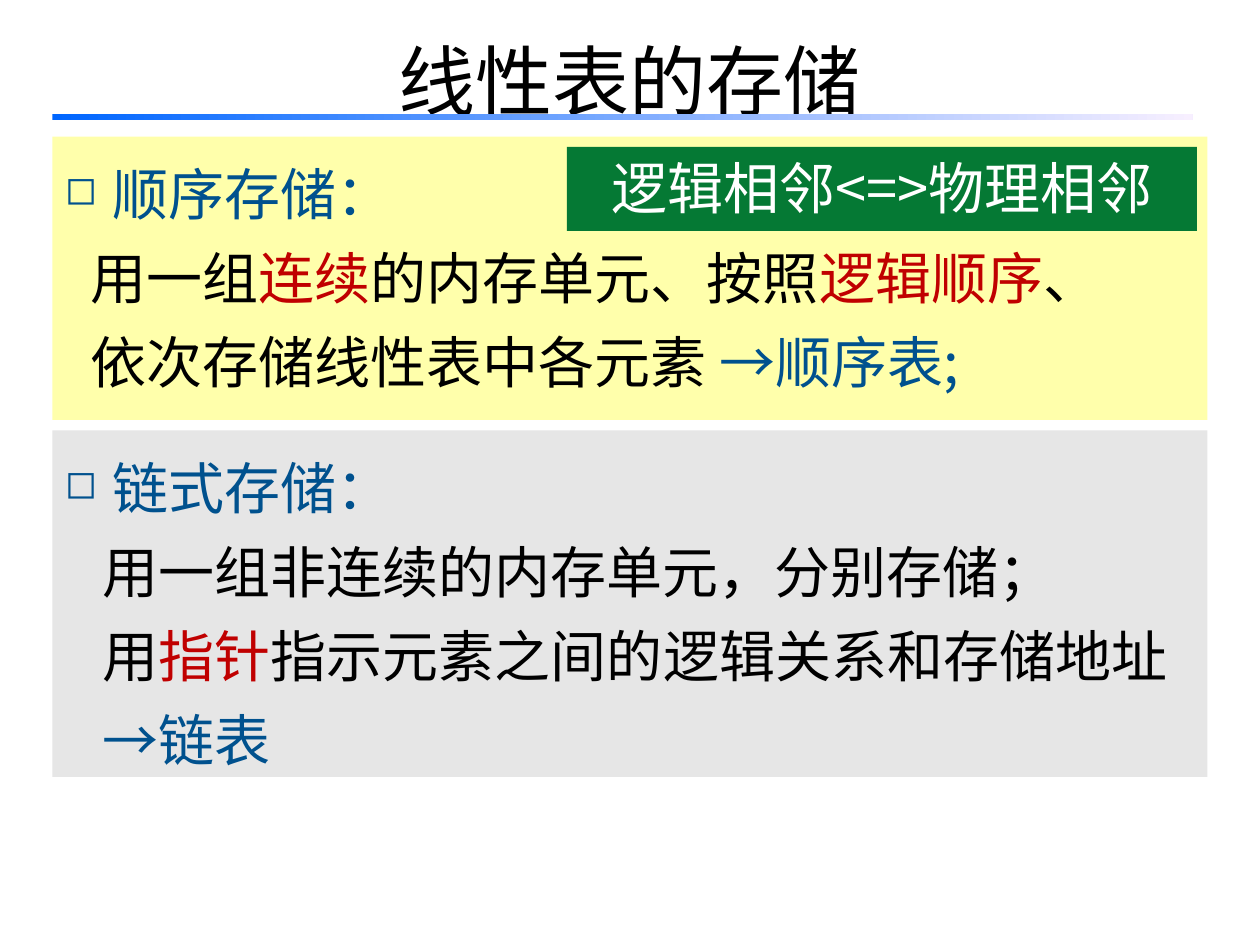
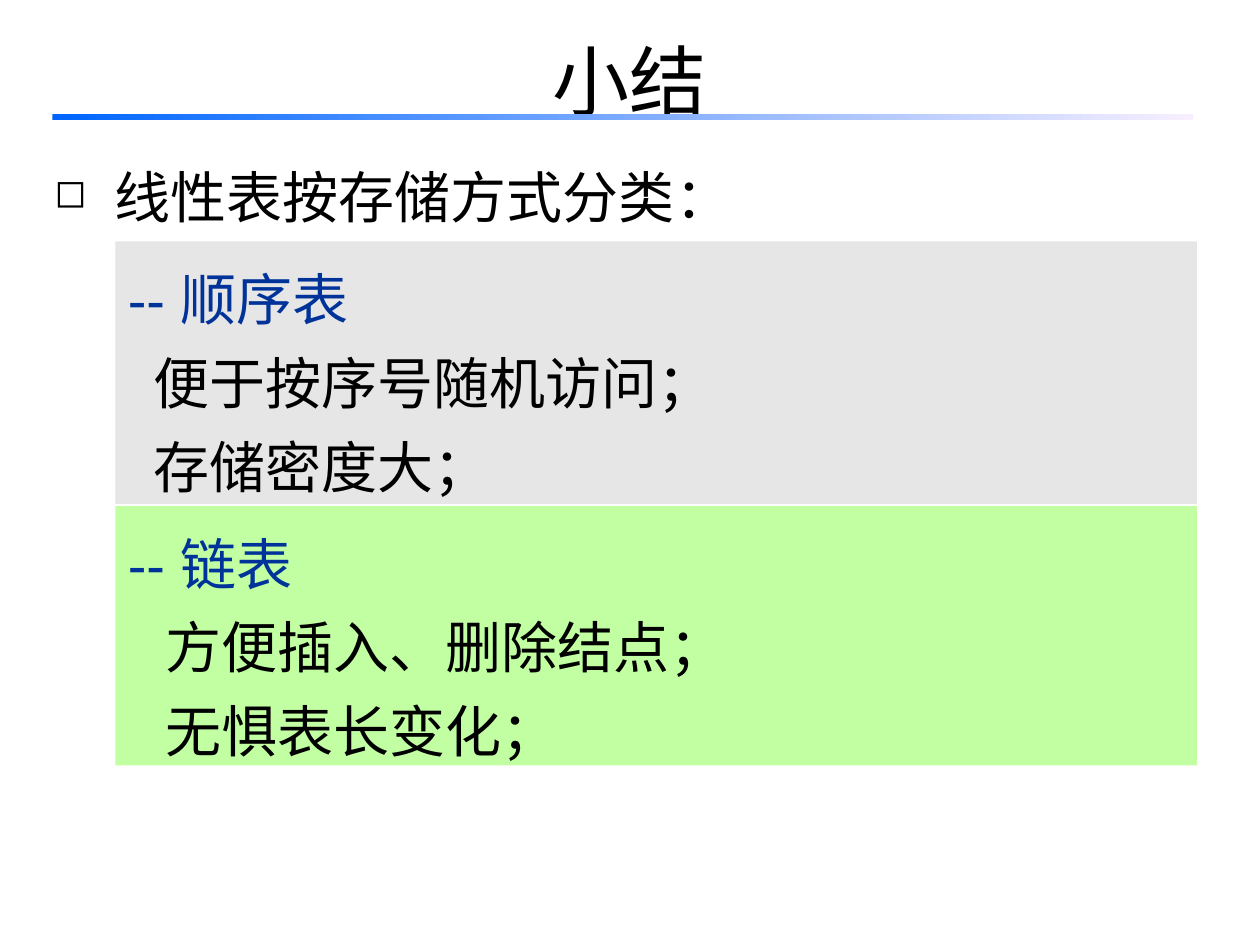
from lxml.etree import SubElement
from pptx import Presentation
from pptx.dml.color import RGBColor
from pptx.enum.shapes import MSO_SHAPE
from pptx.enum.text import MSO_ANCHOR, MSO_AUTO_SIZE, PP_ALIGN
from pptx.oxml.ns import qn
from pptx.util import Inches, Pt

# Shared style
CJK, LATIN = "Noto Sans CJK SC", "Arial"
BLACK, WHITE, RED = "000000", "FFFFFF", "C00000"
BLUE, NAVY = "00518E", "003399"
YELLOW, GREY, LIME, GREEN = "FFFFAB", "E6E6E6", "C2FFA3", "057934"
RULE = ("0066FF", "F7EFFF")
HANG = 0.38      # hanging indent of heads, inches
COLS = 120       # square grid cells across the slide


def rgb(value):
    return RGBColor.from_string(value)


class Deck:
    def __init__(self):
        self.prs = Presentation()
        self.prs.slide_width, self.prs.slide_height = Inches(10), Inches(7.5)
        self.cell = self.prs.slide_width / COLS
        self.s = None

    def box(self, *cells):
        return [round(c * self.cell) for c in cells]

    def slide(self, title):
        """Start a slide with its title and the gradient rule below it."""
        self.s = self.prs.slides.add_slide(self.prs.slide_layouts[5])
        sp = self.s.shapes.title
        sp.left, sp.top, sp.width, sp.height = self.box(6, -1, 108, 15)
        self.frame(sp, MSO_ANCHOR.MIDDLE)
        self.para(sp, [(title, BLACK)], size=44, alignment=PP_ALIGN.CENTER)
        rule = self.rect(5, 10.9, 108.6, 0.5)
        rule.fill.gradient()
        rule.fill.gradient_angle = 0
        for stop, color in zip(rule.fill.gradient_stops, RULE):
            stop.color.rgb = rgb(color)

    def frame(self, sp, anchor=MSO_ANCHOR.TOP):
        look = dict(word_wrap=True, auto_size=MSO_AUTO_SIZE.NONE,
                    vertical_anchor=anchor,
                    margin_left=Inches(0.1), margin_right=Inches(0.1),
                    margin_top=Inches(0.05), margin_bottom=Inches(0.05))
        for name, value in look.items():
            setattr(sp.text_frame, name, value)

    def rect(self, x, y, w, h, fill=None):
        sp = self.s.shapes.add_shape(MSO_SHAPE.RECTANGLE, *self.box(x, y, w, h))
        sp.shadow.inherit = False
        sp.line.fill.background()
        if fill:
            sp.fill.solid()
            sp.fill.fore_color.rgb = rgb(fill)
        self.frame(sp)
        return sp

    def text(self, x, y, w, h):
        sp = self.s.shapes.add_textbox(*self.box(x, y, w, h))
        self.frame(sp)
        return sp

    def para(self, sp, runs, size=32, font=CJK, left=0, hang=0, bullet=False,
             **look):
        """Add a paragraph made of (text, colour) runs."""
        tf = sp.text_frame
        p = tf.paragraphs[0]
        if p.runs:
            p = tf.add_paragraph()
        look = dict(alignment=PP_ALIGN.LEFT, line_spacing=1.25,
                    space_before=Pt(0)) | look
        for name, value in look.items():
            setattr(p, name, value)
        pPr = p._p.get_or_add_pPr()
        pPr.set("marL", str(Inches(left)))
        pPr.set("indent", str(-Inches(hang)))
        if bullet:
            SubElement(pPr, qn("a:buSzPct"), val="70000")
            SubElement(pPr, qn("a:buChar"), char="◻")
        for words, color in runs:
            r = p.add_run()
            r.text = words
            for name, value in dict(size=Pt(size), name=font).items():
                setattr(r.font, name, value)
            r.font.color.rgb = rgb(color)
            SubElement(r._r.get_or_add_rPr(), qn("a:ea"), typeface=CJK)

    def panel(self, place, fill, head, lines, left, font=LATIN, bullet=False):
        """A filled block: a hanging head over indented lines."""
        sp = self.rect(*place, fill)
        self.para(sp, [head], font=font, left=HANG, hang=HANG, bullet=bullet)
        for runs in lines:
            self.para(sp, runs, font=font, left=left)


deck = Deck()

# Slide 1: the two ways of storing a list
deck.slide("线性表的存储")
deck.panel((5, 13, 110, 27), YELLOW, ("顺序存储：", BLUE), [
    [("用一组", BLACK), ("连续", RED), ("的内存单元、按照", BLACK),
     ("逻辑顺序", RED), ("、", BLACK)],
    [("依次存储线性表中各元素 ", BLACK), ("→顺序表;", BLUE)],
], left=0.2, font=CJK, bullet=True)
label = deck.rect(54, 14, 60, 8, GREEN)
deck.para(label, [("逻辑相邻<=>物理相邻", WHITE)],
          alignment=PP_ALIGN.CENTER, line_spacing=1.0)
deck.panel((5, 41, 110, 33), GREY, ("链式存储：", BLUE), [
    [("用一组非连续的内存单元，分别存储；", BLACK)],
    [("用", BLACK), ("指针", RED), ("指示元素之间的逻辑关系和存储地址", BLACK)],
    [("→链表", BLUE)],
], left=0.3, bullet=True)

# Slide 2: summary
deck.slide("小结")
intro = deck.text(4, 13, 100.3, 10.7)
deck.para(intro, [("线性表按存储方式分类：", BLACK)], left=0.48, hang=0.48,
          bullet=True, line_spacing=1.3, space_before=Pt(12))
deck.panel((11, 23, 103, 25), GREY, ("-- 顺序表", NAVY), [
    [("便于按序号随机访问；", BLACK)],
    [("存储密度大；", BLACK)],
], left=0.2)
deck.panel((11, 48.2, 103, 24.7), LIME, ("-- 链表", NAVY), [
    [("方便插入、删除结点；", BLACK)],
    [("无惧表长变化；", BLACK)],
], left=0.3)

deck.prs.save("out.pptx")
